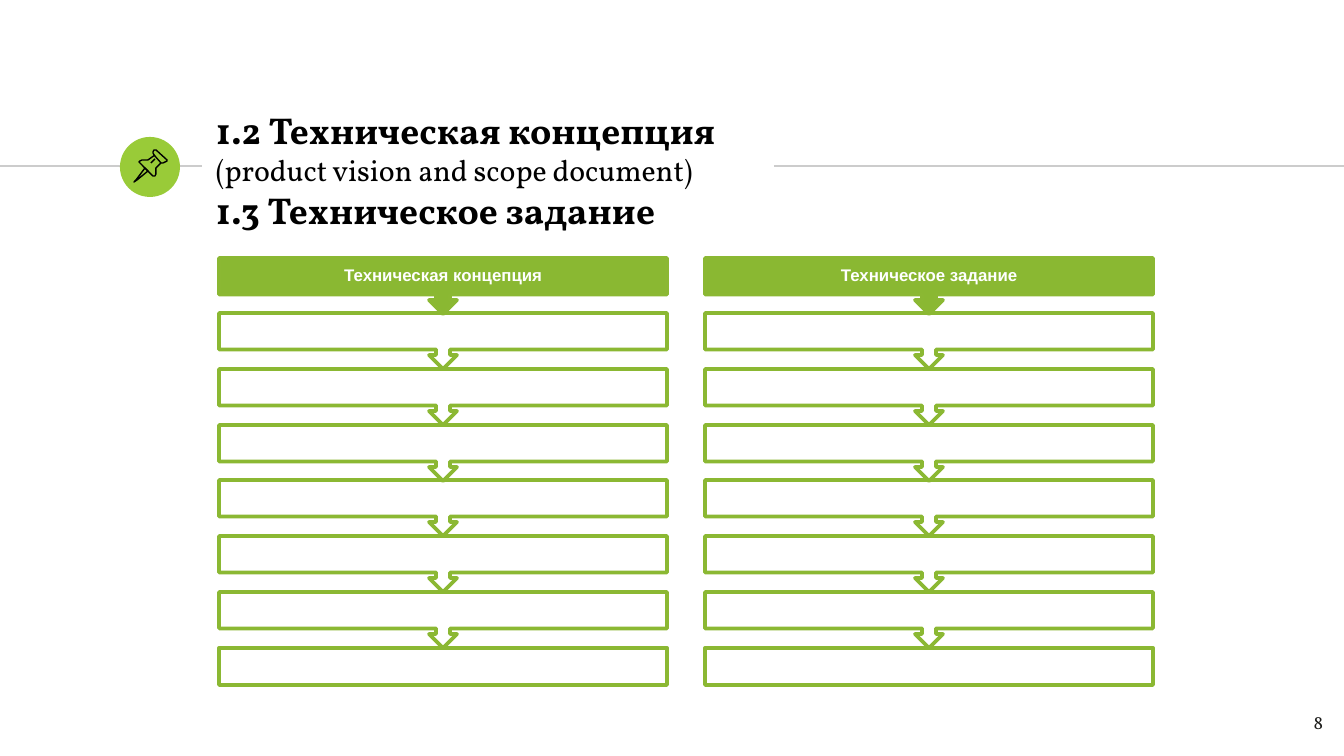
"""Build the slide comparing the technical concept with the technical specification."""
import pptx
import pptx.dml.color
import pptx.enum.shapes
import pptx.enum.text
import pptx.oxml.ns
import pptx.util
from lxml import etree

PX = 914400 / 134.4
COLORS = {
    "rule": "CCCCCC",
    "badge": "99CB38",
    "header": "8AB832",
    "border": "8BB833",
    "white": "FFFFFF",
    "black": "000000",
    "number": "1D1D1B",
}
SERIF, SANS = "Vollkorn", "Arial"
HEADING = (
    ("1.2 Техническая концепция", 20, True),
    ("(product vision and scope document)", 16, False),
    ("1.3 Техническое задание", 20, True),
)
COLUMNS = ((219, "Техническая концепция"), (705, "Техническое задание"))
STEPS, TOP, SPAN = 8, 258, 390
STEP_WIDTH, BOX_HEIGHT, CALLOUT_HEIGHT = 448, 37, 56
PIN = (
    (((145, 168), (136, 180), (134, 182), (137, 180), (148, 171)), True),
    (((154, 155), (161, 163), (163, 163), (165, 162), (167, 161), (167, 160),
      (156, 150), (154, 150), (153, 152), (153, 153)), True),
    (((155, 155), (148, 160), (145, 160), (142, 160), (140, 161), (139, 162),
      (153, 176), (155, 176), (156, 174), (156, 171), (156, 168), (161, 163)), False),
    (((151, 163), (155, 159)), False),
)


def px(*lengths):
    """Turn pixel lengths into EMU."""
    return [pptx.util.Emu(round(length * PX)) for length in lengths]


def rgb(name):
    """Look up a colour by its name."""
    return pptx.dml.color.RGBColor.from_string(COLORS[name])


def style_font(font, face, size, color, bold=False):
    """Set face, size, colour and weight of a font."""
    font.name = face
    font.size = pptx.util.Pt(size)
    font.bold = bold
    font.color.rgb = rgb(color)


def style_frame(frame, inset, anchor):
    """Set wrapping, insets and anchor of a text frame."""
    frame.word_wrap = True
    frame.auto_size = pptx.enum.text.MSO_AUTO_SIZE.NONE
    frame.vertical_anchor = anchor
    margin, = px(inset)
    frame.margin_left = frame.margin_right = margin
    frame.margin_top = frame.margin_bottom = margin


def add_rule(shapes, start, end, y):
    """Draw a thin horizontal rule."""
    rule = shapes.add_connector(
        pptx.enum.shapes.MSO_CONNECTOR.STRAIGHT, *px(start, y, end, y))
    rule.line.color.rgb = rgb("rule")
    rule.line.width = pptx.util.Pt(0.75)
    etree.SubElement(rule._element.spPr, pptx.oxml.ns.qn("a:effectLst"))


def add_box(shapes, kind, box, fill, border=None):
    """Draw a filled preset shape with an optional border."""
    shape = shapes.add_shape(kind, *px(*box))
    shape.shadow.inherit = False
    shape.fill.solid()
    shape.fill.fore_color.rgb = rgb(fill)
    if border:
        shape.line.color.rgb = rgb(border)
        shape.line.width = pptx.util.Pt(2)
    else:
        shape.line.fill.background()
    return shape


def add_label(shapes, box, text, inset, anchor, align):
    """Add a one-paragraph text box and return its paragraph."""
    label = shapes.add_textbox(*px(*box))
    style_frame(label.text_frame, inset, anchor)
    paragraph = label.text_frame.paragraphs[0]
    paragraph.text = text
    paragraph.alignment = align
    return paragraph


def add_pin(shapes):
    """Draw the outlined pushpin on the badge."""
    pin = shapes.add_group_shape()
    for points, closed in PIN:
        builder = pin.shapes.build_freeform(*points[0], scale=PX)
        builder.add_line_segments(points[1:], close=closed)
        stroke = builder.convert_to_shape()
        stroke.shadow.inherit = False
        stroke.fill.background()
        stroke.line.color.rgb = rgb("black")
        stroke.line.width = pptx.util.Pt(0.75)


def fill_heading(title):
    """Place the title and write its three lines."""
    title.left, title.top, title.width, title.height = px(203, 137, 927, 65)
    style_frame(title.text_frame, 13, pptx.enum.text.MSO_ANCHOR.MIDDLE)
    paragraph = title.text_frame.paragraphs[0]
    paragraph.alignment = pptx.enum.text.PP_ALIGN.LEFT
    for index, (text, size, bold) in enumerate(HEADING):
        if index:
            paragraph.add_line_break()
        run = paragraph.add_run()
        run.text = text
        style_font(run.font, SERIF, size, "black", bold)


def add_step_column(shapes, left, caption):
    """Draw a chain of steps from the last one up to its captioned header."""
    kinds = pptx.enum.shapes.MSO_SHAPE
    column = shapes.add_group_shape().shapes
    for step in reversed(range(STEPS)):
        top = TOP + SPAN * step // (STEPS - 1)
        if step == STEPS - 1:
            add_box(column, kinds.RECTANGLE, (left, top, STEP_WIDTH, BOX_HEIGHT),
                    "white", "border")
            continue
        callout = add_box(column, kinds.UP_ARROW_CALLOUT,
                          (left, top, STEP_WIDTH, CALLOUT_HEIGHT),
                          "white" if step else "header", "border")
        callout.rotation = 180
        callout.adjustments[3] = 0.65
    header = add_label(column, (left, TOP, STEP_WIDTH, BOX_HEIGHT), caption, 9,
                       pptx.enum.text.MSO_ANCHOR.MIDDLE,
                       pptx.enum.text.PP_ALIGN.CENTER)
    header.line_spacing = 0.9
    style_font(header.font, SANS, 9, "white", True)


def main():
    """Build and save the slide."""
    deck = pptx.Presentation()
    deck.slide_width, deck.slide_height = px(1344, 756)
    slide = deck.slides.add_slide(deck.slide_layouts[5])
    shapes = slide.shapes
    add_rule(shapes, 0, 202, 166)
    add_box(shapes, pptx.enum.shapes.MSO_SHAPE.OVAL, (120, 137, 60, 60), "badge")
    add_rule(shapes, 774, 1344, 166)
    fill_heading(shapes.title)
    add_pin(shapes)
    number = add_label(shapes, (1255, 698, 81, 58), "8", 13,
                       pptx.enum.text.MSO_ANCHOR.TOP,
                       pptx.enum.text.PP_ALIGN.RIGHT)
    style_font(number.font, SERIF, 10, "number")
    for left, caption in COLUMNS:
        add_step_column(shapes, left, caption)
    deck.save("out.pptx")


if __name__ == "__main__":
    main()
